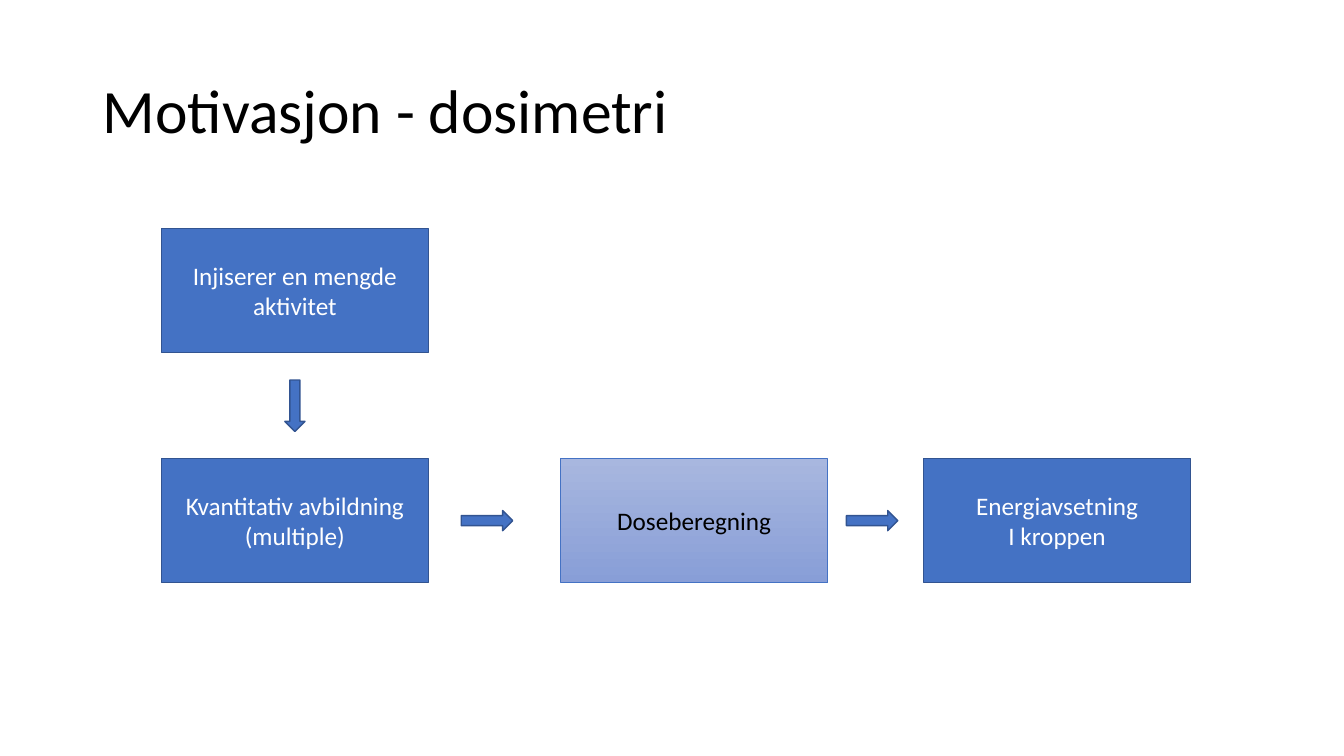
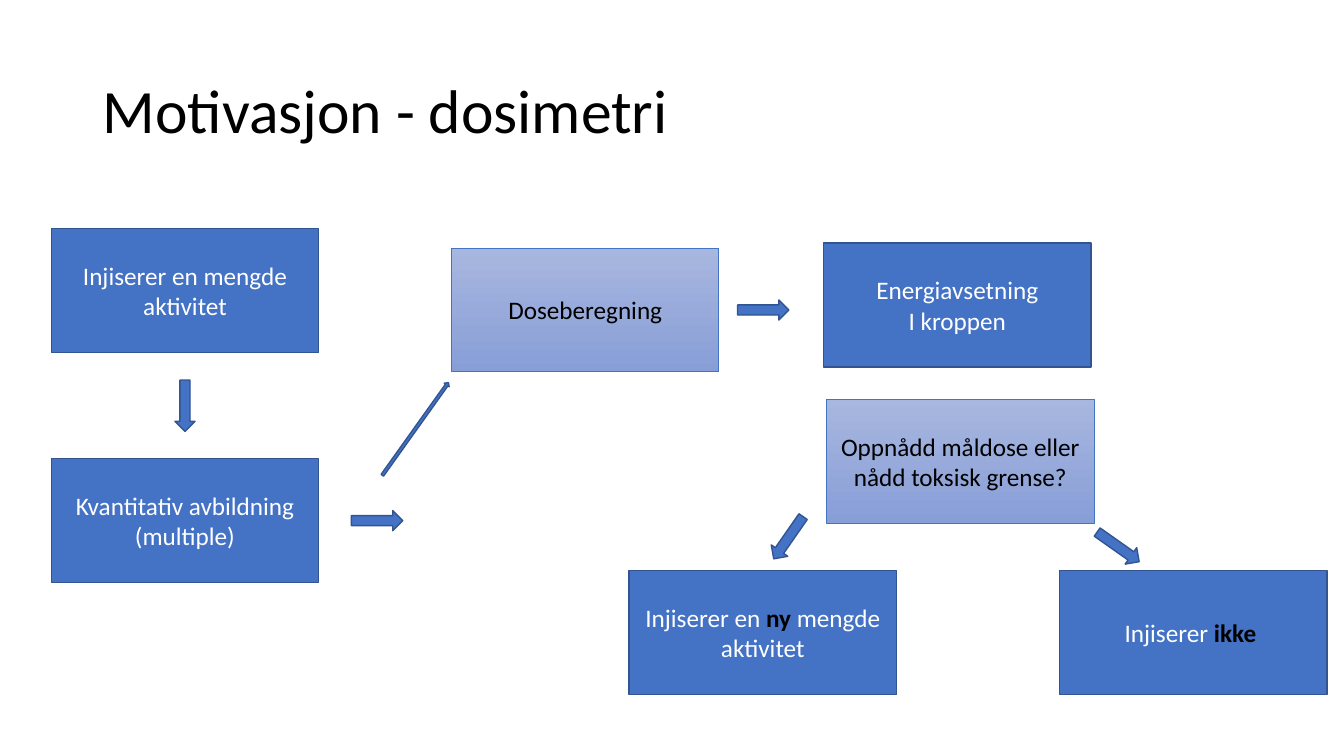
from pptx import Presentation
from pptx.dml.color import RGBColor
from pptx.enum import shapes, text
from pptx.util import Inches, Pt

FONT = "Calibri"
BLACK, WHITE = "000000", "FFFFFF"
BLUE, BLUE_EDGE = "4472C4", "325491"
GRADIENT = ("A8B7DF", "889ED7")
BOX_WIDTH, BOX_HEIGHT = 2.65, 1.23
ARROW_WIDTH, ARROW_LENGTH = 0.2, 0.51
INJECT_TOP, IMAGING_TOP, DECISION_TOP = 2.27, 4.55, 5.66
RIGHT = 270


def rgb(value):
    """Turn a hex string into a colour."""
    return RGBColor.from_string(value)


def write(shape, wording, size=18, color=WHITE, align=text.PP_ALIGN.CENTER, spacing=None):
    """Write lines of text, with words between asterisks in bold black."""
    frame = shape.text_frame
    frame.word_wrap = True
    frame.vertical_anchor = text.MSO_ANCHOR.MIDDLE
    for index, line in enumerate(wording.split("\n")):
        paragraph = frame.add_paragraph() if index else frame.paragraphs[0]
        paragraph.alignment = align
        paragraph.line_spacing = spacing
        for part, words in enumerate(line.split("*")):
            if not words:
                continue
            strong = part % 2 == 1
            run = paragraph.add_run()
            run.text = words
            run.font.name = FONT
            run.font.size = Pt(size)
            run.font.bold = strong
            run.font.color.rgb = rgb(BLACK if strong else color)


def add_block(slide, kind, left, top, width, height, edge=BLUE_EDGE, edge_width=1):
    """Add a blue preset shape without shadow."""
    block = slide.shapes.add_shape(kind, Inches(left), Inches(top), Inches(width), Inches(height))
    block.shadow.inherit = False
    block.fill.solid()
    block.fill.fore_color.rgb = rgb(BLUE)
    block.line.color.rgb = rgb(edge)
    block.line.width = Pt(edge_width)
    return block


def add_step(slide, left, top, wording):
    """Add a solid box for a step of the treatment."""
    step = add_block(slide, shapes.MSO_SHAPE.RECTANGLE, left, top, BOX_WIDTH, BOX_HEIGHT)
    write(step, wording)


def add_assessment(slide, left, top, wording):
    """Add a gradient box for a calculation or question."""
    assessment = add_block(slide, shapes.MSO_SHAPE.RECTANGLE, left, top,
                           BOX_WIDTH, BOX_HEIGHT, edge=BLUE, edge_width=0.5)
    assessment.fill.gradient()
    assessment.fill.gradient_angle = 270
    for stop, color in zip(assessment.fill.gradient_stops, GRADIENT):
        stop.color.rgb = rgb(color)
    write(assessment, wording, color=BLACK)


def add_arrow(slide, left, top, rotation=0, width=ARROW_WIDTH, length=ARROW_LENGTH):
    """Add a block arrow that points down before it is rotated."""
    arrow = add_block(slide, shapes.MSO_SHAPE.DOWN_ARROW, left, top, width, length)
    arrow.rotation = rotation


def add_titled_slide(deck, title):
    """Add a blank slide with the shared title style."""
    slide = deck.slides.add_slide(deck.slide_layouts[6])
    heading = slide.shapes.add_textbox(Inches(0.92), Inches(0.4), Inches(11.5), Inches(1.45))
    write(heading, title, size=44, color=BLACK, align=text.PP_ALIGN.LEFT, spacing=0.9)
    return slide


def add_imaging_flow(slide, left):
    """Add the steps from injection to imaging, with their arrows."""
    add_step(slide, left, INJECT_TOP, "Injiserer en mengde aktivitet")
    add_arrow(slide, left + (BOX_WIDTH - ARROW_WIDTH) / 2, 3.77)
    add_step(slide, left, IMAGING_TOP, "Kvantitativ avbildning\n(multiple)")
    add_arrow(slide, left + 3.13, 4.91, RIGHT)


def add_dose_flow(slide, dose_left, dose_top, energy_left, energy_top):
    """Add the dose calculation and the energy deposition it leads to."""
    add_assessment(slide, dose_left, dose_top, "Doseberegning")
    add_arrow(slide, dose_left + 2.99, dose_top + (BOX_HEIGHT - ARROW_LENGTH) / 2, RIGHT)
    add_step(slide, energy_left, energy_top, "Energiavsetning\nI kroppen")


def add_decision(slide):
    """Add the dose question and its two outcomes."""
    add_assessment(slide, 8.2, 3.96, "Oppnådd måldose eller nådd toksisk grense?")
    add_step(slide, 6.24, DECISION_TOP, "Injiserer en* ny *mengde aktivitet")
    add_step(slide, 10.51, DECISION_TOP, "Injiserer *ikke *")
    add_arrow(slide, 7.72, 5.08, 34.8)
    add_arrow(slide, 10.99, 5.17, 305.2)


def main():
    """Build and save the two slides."""
    deck = Presentation()
    deck.slide_width, deck.slide_height = Inches(13.33), Inches(7.5)
    title = "Motivasjon - dosimetri"

    overview = add_titled_slide(deck, title)
    add_imaging_flow(overview, 1.6)
    add_dose_flow(overview, 5.56, IMAGING_TOP, 9.16, IMAGING_TOP)

    treatment = add_titled_slide(deck, title)
    add_imaging_flow(treatment, 0.51)
    add_dose_flow(treatment, 4.48, 2.46, 8.17, 2.41)
    add_arrow(treatment, 4.09, 3.69, 215.5, width=0.06, length=1.13)
    add_decision(treatment)

    deck.save("out.pptx")


if __name__ == "__main__":
    main()
